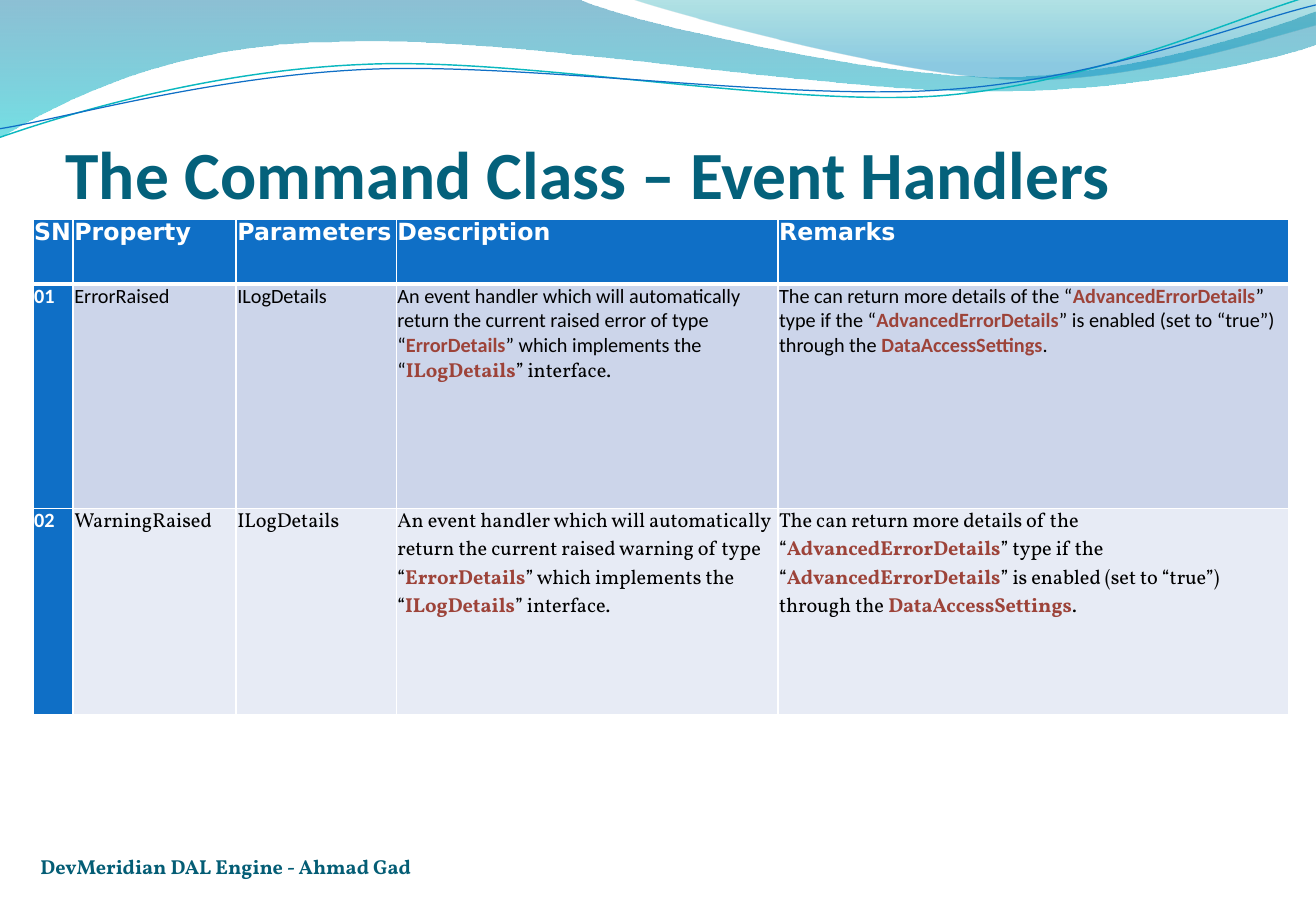
from lxml.etree import SubElement
from pptx import Presentation
from pptx.dml.color import RGBColor
from pptx.enum.text import MSO_ANCHOR, MSO_AUTO_SIZE, PP_ALIGN
from pptx.oxml.ns import qn
from pptx.util import Pt

WHITE = RGBColor(0xFF, 0xFF, 0xFF)
BLACK = RGBColor(0, 0, 0)
BLUE = RGBColor(0x0F, 0x6F, 0xC6)
TEAL = RGBColor(0x0A, 0xB8, 0xBF)
TITLE_TEAL = RGBColor(0x04, 0x61, 0x7B)
FOOTER_TEAL = RGBColor(0x04, 0x5D, 0x75)
TYPE_RED = RGBColor(0x9D, 0x43, 0x39)
BAND_TOP = RGBColor(0x00, 0x74, 0xA1)
BAND_BOTTOM = RGBColor(0x00, 0xC6, 0xCF)
CREST_TOP = RGBColor(0x00, 0xA1, 0xA9)
CREST_BOTTOM = RGBColor(0x00, 0x8B, 0xBF)
ROW_FILLS = [RGBColor(0xCC, 0xD5, 0xEA), RGBColor(0xE7, 0xEB, 0xF5)]

SANS, SERIF, HEADING = "Calibri", "Vollkorn", "DejaVu Sans"

# Outlines in points: two numbers are a corner, six are a Bezier curve
BAND = [(0, -0.5), (343.5, -0.5), (370.8, 12.2, 517.7, 45.4, 591.8, 45.4),
        (665.3, 45.4, 747.4, 18.7, 779.8, 6.5), (780.3, 25.9),
        (766.8, 31.7, 678.2, 54.7, 581.8, 54), (485.3, 54, 298.1, 20.2, 200.9, 24.5),
        (100.8, 25.2, 36, 59.8, -0.5, 81.4)]
CREST = [(373.7, -0.5), (397.4, 7.9, 532.1, 44.6, 599.8, 46.8),
         (667.4, 49.7, 750.2, 23, 779.8, 15.1), (779.8, 0)]
TEAL_WAVE = [(0, 81.4), (37.4, 68.4, 123.1, 41.8, 216, 38.2),
             (308.2, 33.8, 462.2, 63.4, 555.8, 56.9),
             (649.4, 49.7, 732.2, 10.1, 778.3, -2.9)]
BLUE_WAVE = [(0, 76.3), (36.7, 70.6, 127.4, 44.6, 221, 41),
             (313.9, 37.4, 465.8, 59.8, 558.7, 53.3),
             (652.3, 47.5, 734.4, 13.7, 779.8, 2.9)]

# Event table: cells hold paragraphs of (font, text); *stars* mark type names
COLUMNS = [23.8, 96.6, 94.9, 226.2, 302.5]
ROWS = [38.6, 133.2, 122.4]
HEADINGS = ["SN", "Property", "Parameters", "Description", "Remarks"]
REMARKS = ["The can return more details of the “*AdvancedErrorDetails*” type if the "
           "“*AdvancedErrorDetails*” is enabled (set to “true”)",
           "through the *DataAccessSettings*."]


def event_row(number, event, kind, font):
    description = (f"An event handler which will automatically return the current raised "
                   f"{kind} of type “*ErrorDetails*” which implements the “")
    return [[[(SANS, number)]], [[(font, event)]], [[(font, "ILogDetails")]],
            [[(font, description), (SERIF, "*ILogDetails*” interface.")]],
            [[(font, remark)] for remark in REMARKS]]


EVENTS = [event_row("01", "ErrorRaised", "error", SANS),
          event_row("02", "WarningRaised", "warning", SERIF)]


def add_outline(slide, left, top, outline, close):
    corners = [(Pt(left + part[-2]), Pt(top + part[-1])) for part in outline]
    builder = slide.shapes.build_freeform(*corners[0])
    builder.add_line_segments(corners[1:], close=close)
    shape = builder.convert_to_shape()
    shape.shadow.inherit = False
    # Bend the straight segments that have control points
    segments = list(shape.element.iter(qn("a:lnTo")))
    for segment, part in zip(segments, outline[1:]):
        if len(part) == 6:
            segment.tag = qn("a:cubicBezTo")
            for i, (x, y) in enumerate([part[:2], part[2:4]]):
                control = segment.makeelement(qn("a:pt"), {
                    "x": str(Pt(left + x) - shape.left), "y": str(Pt(top + y) - shape.top)})
                segment.insert(i, control)
    return shape


def add_waves(slide, left, top):
    # Translucent gradient bands
    for outline, stops in [
            (BAND, [(0, BAND_TOP, 45), (1, BAND_BOTTOM, 55)]),
            (CREST, [(0, CREST_TOP, 30), (0.8, CREST_BOTTOM, 45)])]:
        band = add_outline(slide, left, top, outline, True)
        band.line.fill.background()
        band.fill.gradient()
        band.fill.gradient_angle = 270
        for stop, (position, color, _) in zip(band.fill.gradient_stops, stops):
            stop.position, stop.color.rgb = position, color
        for node, (_, _, opacity) in zip(band.element.iter(qn("a:gs")), stops):
            SubElement(node[0], qn("a:alpha"), val=str(opacity * 1000))
    # Thin wave lines
    for outline, color, width in [(TEAL_WAVE, TEAL, 0.85), (BLUE_WAVE, BLUE, 0.75)]:
        wave = add_outline(slide, left, top, outline, False)
        wave.fill.background()
        wave.line.color.rgb, wave.line.width = color, Pt(width)


def add_run(paragraph, text, font, size, color, bold):
    run = paragraph.add_run()
    run.text = text
    for name, value in {"name": font, "size": Pt(size), "bold": bold}.items():
        setattr(run.font, name, value)
    run.font.color.rgb = color


def fill_box(shape, box, text, font, size, color, margin_top=0):
    shape.left, shape.top, shape.width, shape.height = map(Pt, box)
    frame = shape.text_frame
    for name, value in {"margin_left": 0, "margin_right": 0, "margin_top": Pt(margin_top),
                        "margin_bottom": 0, "word_wrap": True,
                        "auto_size": MSO_AUTO_SIZE.NONE,
                        "vertical_anchor": MSO_ANCHOR.BOTTOM}.items():
        setattr(frame, name, value)
    paragraph = frame.paragraphs[0]
    paragraph.alignment = PP_ALIGN.LEFT
    add_run(paragraph, text, font, size, color, True)


def format_cell(cell, fill, bottom_width):
    for name, value in {"margin_left": Pt(0.7), "margin_right": Pt(0.7),
                        "margin_top": 0, "margin_bottom": 0}.items():
        setattr(cell, name, value)
    properties = cell._tc.get_or_add_tcPr()
    for side, width in {"L": 1, "R": 1, "T": 1, "B": bottom_width}.items():
        border = SubElement(properties, qn(f"a:ln{side}"), w=str(Pt(width)))
        SubElement(SubElement(border, qn("a:solidFill")), qn("a:srgbClr"), val=str(WHITE))
    cell.fill.solid()
    cell.fill.fore_color.rgb = fill


def add_event_table(slide, left, top):
    table = slide.shapes.add_table(len(ROWS), len(COLUMNS), Pt(left), Pt(top),
                                   Pt(sum(COLUMNS)), Pt(sum(ROWS))).table
    table.horz_banding = False
    for column, width in zip(table.columns, COLUMNS):
        column.width = Pt(width)
    for row, height in zip(table.rows, ROWS):
        row.height = Pt(height)
    # Header row
    for c, heading in enumerate(HEADINGS):
        cell = table.cell(0, c)
        format_cell(cell, BLUE, 3)
        add_run(cell.text_frame.paragraphs[0], heading, HEADING, 14, WHITE, True)
    # Event rows
    for r, event in enumerate(EVENTS):
        for c, paragraphs in enumerate(event):
            cell = table.cell(r + 1, c)
            format_cell(cell, ROW_FILLS[r] if c else BLUE, 1)
            frame = cell.text_frame
            for i, spans in enumerate(paragraphs):
                paragraph = frame.add_paragraph() if i else frame.paragraphs[0]
                for font, text in spans:
                    for k, piece in enumerate(text.split("*")):
                        if piece:
                            is_type = k % 2 == 1
                            color = TYPE_RED if is_type else BLACK if c else WHITE
                            add_run(paragraph, piece, font, 12, color, is_type or c == 0)


def main():
    deck = Presentation()
    deck.slide_width, deck.slide_height = Pt(779.8), Pt(540)
    slide = deck.slides.add_slide(deck.slide_layouts[5])
    add_waves(slide, 0, 0)
    # Title and footer
    fill_box(slide.shapes.title, (38.9, 67, 702, 59), "The Command Class – Event Handlers",
             SANS, 40, TITLE_TEAL, margin_top=3.6)
    footer = slide.shapes.add_textbox(0, 0, 0, 0)
    fill_box(footer, (24, 500.4, 513.4, 20.2), "DevMeridian DAL Engine - Ahmad Gad",
             SERIF, 12, FOOTER_TEAL)
    add_event_table(slide, 19.6, 129.7)
    deck.save("out.pptx")


if __name__ == "__main__":
    main()
